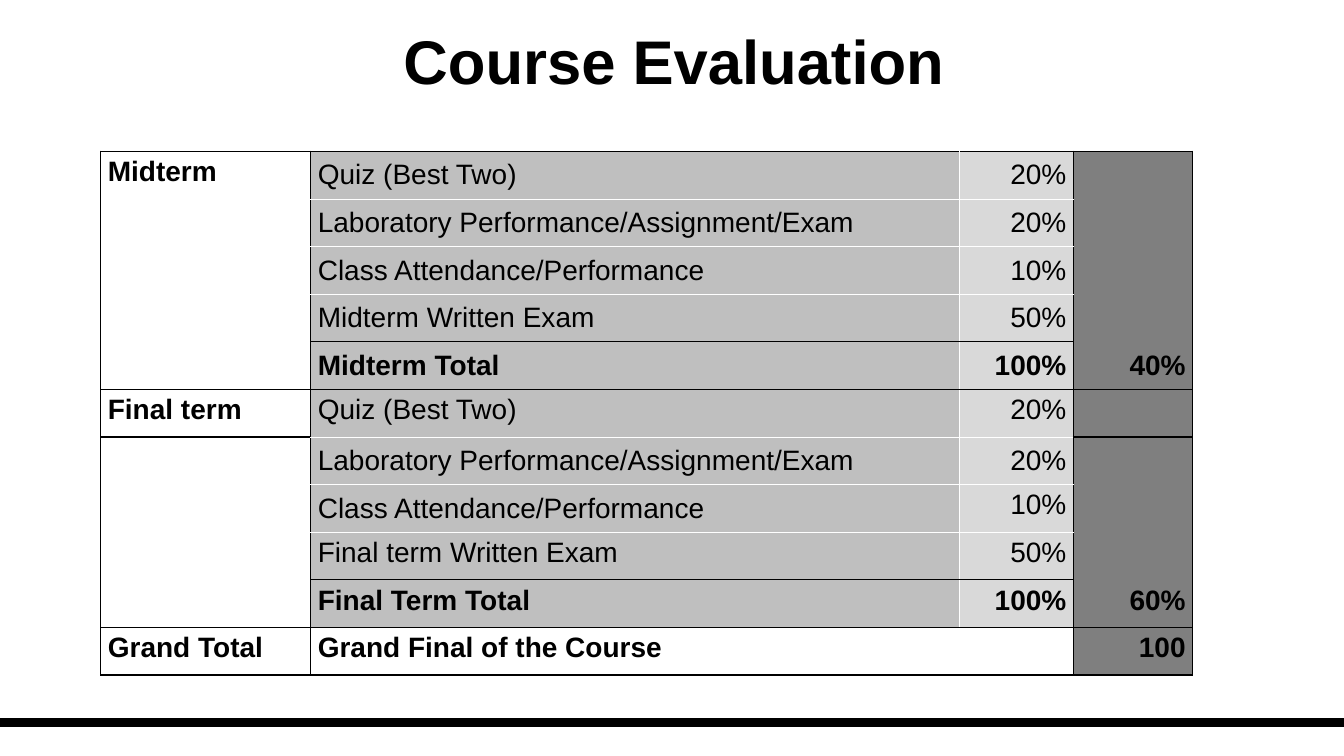
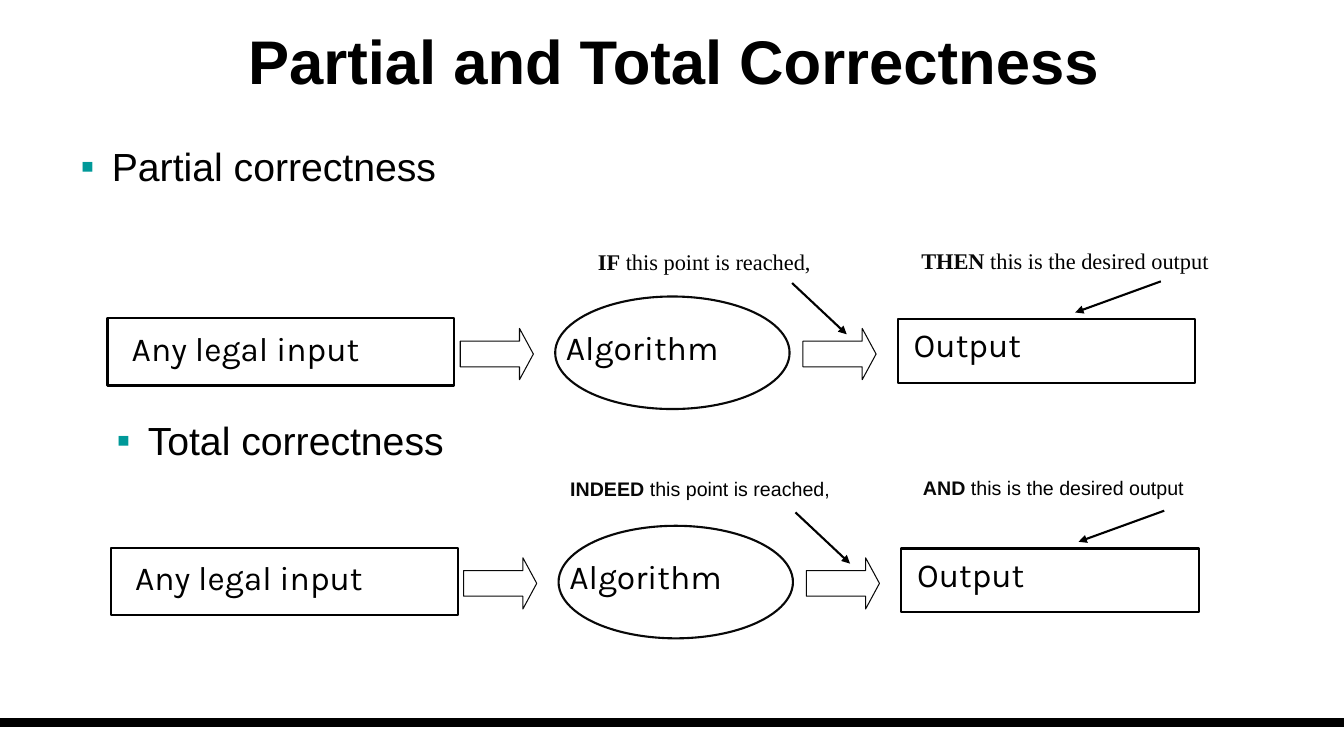
from dataclasses import dataclass
from typing import Optional

from lxml import etree
from pptx import Presentation
from pptx import util as u
from pptx.dml.color import RGBColor
from pptx.enum import shapes, text
from pptx.oxml.ns import qn

# Shared look
BLACK = RGBColor(0x00, 0x00, 0x00)
INK = RGBColor(0x08, 0x08, 0x08)
WHITE = RGBColor(0xFF, 0xFF, 0xFF)
TEAL = RGBColor(0x00, 0x99, 0x99)
SILVER = RGBColor(0xBF, 0xBF, 0xBF)
PALE = RGBColor(0xD9, 0xD9, 0xD9)
GRAY = RGBColor(0x7F, 0x7F, 0x7F)
SANS, SERIF, LABEL = "Arial", "Times New Roman", "Karla"
NO_STYLE = "{2D5ABB26-0587-4C30-8999-92F81FD0307C}"

# The slide is a grid of 160 columns and 90 rows
COLUMNS, ROWS = 160, 90
CELL = u.Inches(7.5 / ROWS)


@dataclass(frozen=True)
class Box:
    left: float
    top: float
    width: float
    height: float

    def shifted(self, columns: float, rows: float) -> "Box":
        return Box(self.left + columns, self.top + rows, self.width, self.height)

    def lengths(self) -> list[int]:
        return [cells(n) for n in (self.left, self.top, self.width, self.height)]


@dataclass(frozen=True)
class Row:
    term: str
    item: str
    share: str
    weight: str = ""
    middle: tuple[int, ...] = ()  # columns with vertically centred text
    total: bool = False


@dataclass(frozen=True)
class Outline:
    kind: shapes.MSO_SHAPE
    box: Box
    color: RGBColor
    width: float


@dataclass(frozen=True)
class Label:
    words: str
    box: Box


@dataclass(frozen=True)
class Caption:
    keyword: str
    rest: str
    box: Box


@dataclass(frozen=True)
class Flow:
    columns: float
    rows: float
    font: str
    size: int
    captions: tuple[Caption, ...]


TITLE_BOX = Box(0.5, 0.2, 159.5, 13.8)
BAND_ROW = 86

# Evaluation table
TABLE_BOX = Box(12, 18, 130, 62.4)
TABLE_COLUMNS = (25, 77.2, 13.6, 14.2)
COLUMN_FILLS = (WHITE, SILVER, PALE, GRAY)
LAB, ATTENDANCE = "Laboratory Performance/Assignment/Exam", "Class Attendance/Performance"
EVALUATION = (
    Row("Midterm", "Quiz (Best Two)", "20%", middle=(1, 2)),
    Row("", LAB, "20%", middle=(1, 2)),
    Row("", ATTENDANCE, "10%", middle=(1, 2)),
    Row("", "Midterm Written Exam", "50%", middle=(1, 2)),
    Row("", "Midterm Total", "100%", "40%", (1, 2, 3), True),
    Row("Final term", "Quiz (Best Two)", "20%"),
    Row("", LAB, "20%", middle=(1, 2)),
    Row("", ATTENDANCE, "10%", middle=(1,)),
    Row("", "Final term Written Exam", "50%"),
    Row("", "Final Term Total", "100%", "60%", total=True),
    Row("Grand Total", "Grand Final of the Course", "", "100", total=True),
)
GRAND = len(EVALUATION) - 1

# Correctness flows, placed for the upper one
PARTIAL_BOX = Box(2.4, 16.3, 146.2, 9.4)
TOTAL_BOX = Box(6.7, 49, 146.2, 9.4)
ARROW_BOX = Box(54.8, 39.1, 8.7, 6.1)
OUTLINES = (
    Outline(shapes.MSO_SHAPE.RECTANGLE, Box(12.8, 37.9, 41.3, 8), BLACK, 1.5),
    Outline(shapes.MSO_SHAPE.RIGHT_ARROW, ARROW_BOX, INK, 0.75),
    Outline(shapes.MSO_SHAPE.OVAL, Box(66.1, 35.3, 27.9, 13.4), INK, 1.5),
    Outline(shapes.MSO_SHAPE.RIGHT_ARROW, ARROW_BOX.shifted(40.8, 0), INK, 0.75),
    Outline(shapes.MSO_SHAPE.RECTANGLE, Box(106.9, 38, 35.4, 7.6), BLACK, 1.5),
)
LABELS = (
    Label("Any legal input", Box(14.5, 38.4, 38.8, 6)),
    Label("Algorithm", Box(66.2, 38.3, 21.1, 6)),
    Label("Output", Box(107.6, 38, 34, 6)),
)
POINTERS = ((94.3, 33.7, 100.8, 39.8), (138.2, 33.5, 128, 37.2))
REACHED, DESIRED = " this point is reached,", " this is the desired output"
FLOWS = (
    Flow(0, 0, SERIF, 16, (
        Caption("IF", REACHED, Box(70, 28.9, 28.8, 4.4)),
        Caption("THEN", DESIRED, Box(108.5, 28.8, 37.5, 4.4)))),
    Flow(0.4, 27.3, SANS, 14, (
        Caption("INDEED", REACHED, Box(66.3, 28.9, 34, 4)),
        Caption("AND", DESIRED, Box(108.3, 28.8, 34, 4)))),
)


def cells(count: float) -> int:
    return round(count * CELL)


def style(span, font: str, size: int, bold: bool = False, color: RGBColor = BLACK) -> None:
    span.font.name, span.font.size, span.font.bold = font, u.Pt(size), bold
    span.font.color.rgb = color


def place(shape, box: Box) -> None:
    shape.left, shape.top, shape.width, shape.height = box.lengths()


def add_line(slide, ends: tuple[float, ...], width: float, arrow: bool = False):
    line = slide.shapes.add_connector(
        shapes.MSO_CONNECTOR.STRAIGHT, *[cells(n) for n in ends])
    line.line.color.rgb = BLACK
    line.line.width = u.Pt(width)
    properties = line._element.spPr
    if arrow:
        etree.SubElement(properties.find(qn("a:ln")), qn("a:tailEnd"), type="triangle")
    etree.SubElement(properties, qn("a:effectLst"))
    return line


def add_text_box(slide, box: Box):
    frame = slide.shapes.add_textbox(*box.lengths()).text_frame
    frame.word_wrap = True
    return frame


def add_slide(deck, layout: int, title: str):
    slide = deck.slides.add_slide(deck.slide_layouts[layout])
    slide.shapes.title.text_frame.text = title
    para = slide.shapes.title.text_frame.paragraphs[0]
    para.alignment = text.PP_ALIGN.CENTER
    style(para.runs[0], SANS, 44, True)
    return slide


def set_up_master(deck, slide) -> None:
    """Place the title and move the bottom band to the master."""
    master = deck.slide_master
    for holder in master.placeholders:
        if holder.placeholder_format.type == shapes.PP_PLACEHOLDER.TITLE:
            place(holder, TITLE_BOX)
    band = add_line(slide, (0, BAND_ROW, COLUMNS, BAND_ROW), 6)
    master.shapes._spTree.append(band._element)


# Table
def row_edge(row: int, column: int) -> Optional[tuple[RGBColor, float]]:
    """Line above a row; the row after the last gives the bottom."""
    if row in (0, 5, GRAND, GRAND + 1):
        return BLACK, 1.08
    if column in (0, 3):
        return None
    return (BLACK, 1.08) if EVALUATION[row].total else (WHITE, 0.45)


def column_edge(row: int, column: int) -> Optional[tuple[RGBColor, float]]:
    """Line to the left of a column."""
    if column == 2:
        return None if row == GRAND else (WHITE, 0.45)
    return BLACK, 0.45 if column == 1 else 1.08


def set_borders(cell, row: int, column: int) -> None:
    edges = {"a:lnL": column_edge(row, column), "a:lnR": column_edge(row, column + 1),
             "a:lnT": row_edge(row, column), "a:lnB": row_edge(row + 1, column)}
    properties = cell._tc.get_or_add_tcPr()
    for tag, edge in edges.items():
        if edge:
            color, width = edge
            line = etree.SubElement(properties, qn(tag), w=str(u.Pt(width)))
            fill = etree.SubElement(line, qn("a:solidFill"))
            etree.SubElement(fill, qn("a:srgbClr"), val=str(color))


def add_evaluation_table(slide) -> None:
    frame = slide.shapes.add_table(
        len(EVALUATION), len(TABLE_COLUMNS), *TABLE_BOX.lengths())
    table = frame.table
    table.first_row = table.horz_banding = False
    table._tbl.tblPr.find(qn("a:tableStyleId")).text = NO_STYLE
    for column, width in zip(table.columns, TABLE_COLUMNS):
        column.width = cells(width)
    for line in table.rows:
        line.height = cells(TABLE_BOX.height / len(EVALUATION))
    for r, row in enumerate(EVALUATION):
        for c, words in enumerate((row.term, row.item, row.share, row.weight)):
            cell = table.cell(r, c)
            set_borders(cell, r, c)
            cell.fill.solid()
            cell.fill.fore_color.rgb = WHITE if r == GRAND and c < 3 else COLUMN_FILLS[c]
            cell.margin_left = cell.margin_right = u.Inches(0.07)
            if c in row.middle:
                cell.vertical_anchor = text.MSO_ANCHOR.MIDDLE
            if words:
                cell.text_frame.text = words
                para = cell.text_frame.paragraphs[0]
                para.alignment = text.PP_ALIGN.LEFT if c < 2 else text.PP_ALIGN.RIGHT
                style(para.runs[0], SANS, 20, row.total or c == 0)
    table.cell(GRAND, 1).merge(table.cell(GRAND, 2))


# Correctness flows
def write_bullet(frame, words: str) -> None:
    frame.text = words
    para = frame.paragraphs[0]
    para.level = 1
    para.space_before = u.Pt(7)
    style(para.runs[0], SANS, 28)
    properties = para._p.get_or_add_pPr()
    properties.set("marL", str(u.Inches(0.81)))
    properties.set("indent", str(u.Inches(-0.31)))
    color = etree.SubElement(properties, qn("a:buClr"))
    etree.SubElement(color, qn("a:srgbClr"), val=str(TEAL))
    etree.SubElement(properties, qn("a:buFont"), typeface=SANS)
    etree.SubElement(properties, qn("a:buChar"), char="▪")


def add_flow(slide, flow: Flow) -> None:
    shift = (flow.columns, flow.rows)
    for outline in OUTLINES:
        shape = slide.shapes.add_shape(outline.kind, *outline.box.shifted(*shift).lengths())
        shape.shadow.inherit = False
        shape.fill.background()
        shape.line.color.rgb = outline.color
        shape.line.width = u.Pt(outline.width)
        if outline.kind == shapes.MSO_SHAPE.RIGHT_ARROW:
            shape.adjustments[1] = 0.27
    for label in LABELS:
        frame = add_text_box(slide, label.box.shifted(*shift))
        frame.text = label.words
        style(frame.paragraphs[0].runs[0], LABEL, 24)
    for caption in flow.captions:
        para = add_text_box(slide, caption.box.shifted(*shift)).paragraphs[0]
        for words, bold, color in ((caption.keyword, True, INK), (caption.rest, False, BLACK)):
            span = para.add_run()
            span.text = words
            style(span, flow.font, flow.size, bold, color)
    for x1, y1, x2, y2 in POINTERS:
        dx, dy = shift
        add_line(slide, (x1 + dx, y1 + dy, x2 + dx, y2 + dy), 1.5, arrow=True)


def main() -> None:
    deck = Presentation()
    deck.slide_width, deck.slide_height = cells(COLUMNS), cells(ROWS)

    evaluation = add_slide(deck, 5, "Course Evaluation")
    set_up_master(deck, evaluation)
    add_evaluation_table(evaluation)

    correctness = add_slide(deck, 1, "Partial and Total Correctness")
    body = correctness.placeholders[1]
    place(body, PARTIAL_BOX)
    body.text_frame.auto_size = text.MSO_AUTO_SIZE.NONE
    write_bullet(body.text_frame, "Partial correctness")
    write_bullet(add_text_box(correctness, TOTAL_BOX), "Total correctness")
    for flow in FLOWS:
        add_flow(correctness, flow)

    deck.save("out.pptx")


if __name__ == "__main__":
    main()
